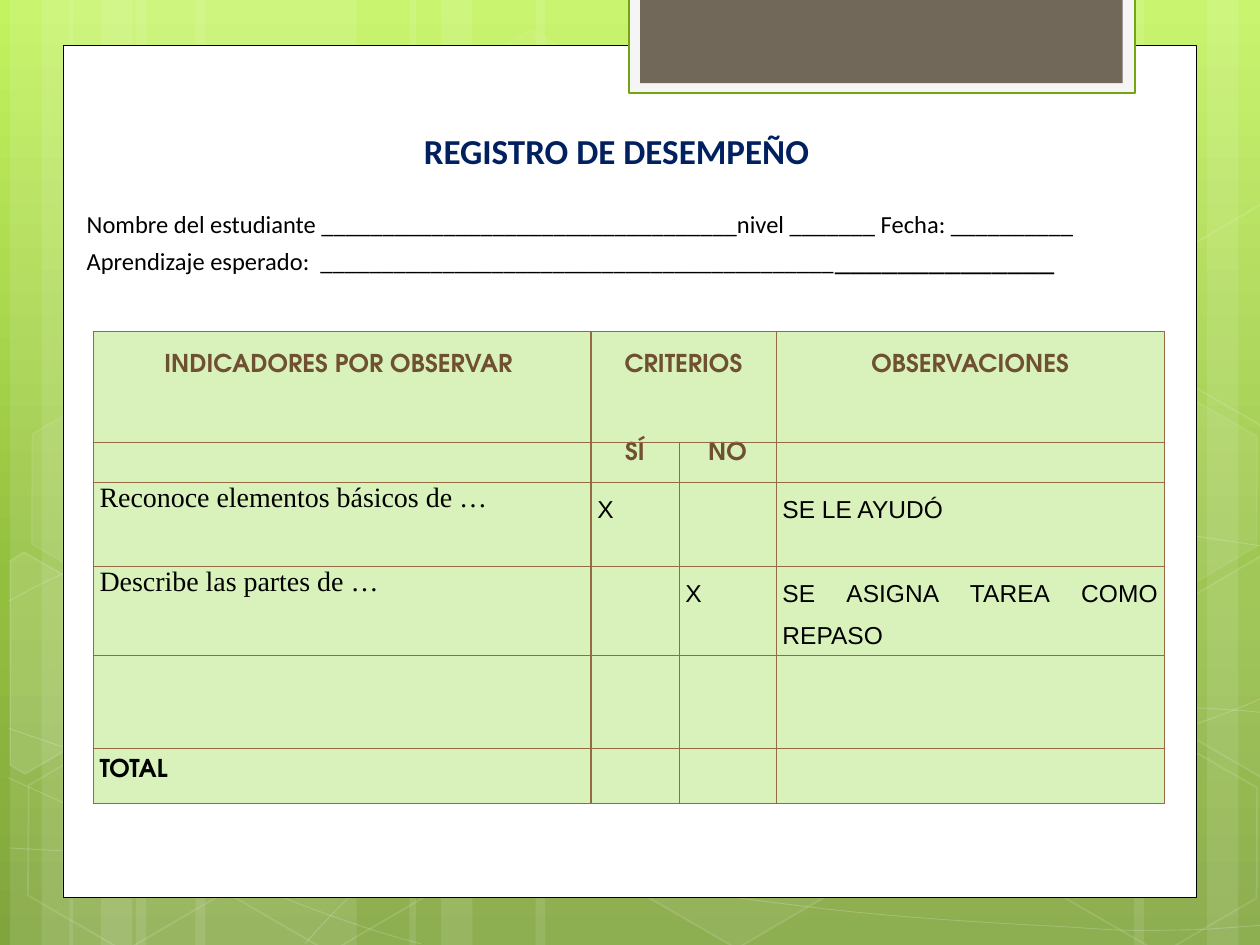
from copy import deepcopy
from math import cos, radians, sin
from typing import NamedTuple, Optional

from lxml.etree import SubElement
from pptx import Presentation
from pptx.dml.color import RGBColor
from pptx.enum.shapes import MSO_SHAPE as Preset
from pptx.enum.text import PP_ALIGN as Align
from pptx.oxml import parse_xml
from pptx.oxml.ns import nsdecls, qn
from pptx.util import Inches, Pt

WHITE = RGBColor(0xFF, 0xFF, 0xFF)
BLACK = RGBColor(0, 0, 0)
NAVY = RGBColor(0x00, 0x20, 0x60)
BROWN = RGBColor(0x70, 0x50, 0x32)
BORDER = RGBColor(0x95, 0x6B, 0x43)
PALE_GREEN = RGBColor(0xD9, 0xF2, 0xBB)
GREEN = RGBColor(0x74, 0xA5, 0x10)
LIGHT_GREY = RGBColor(0xF5, 0xF5, 0xF5)
TAUPE = RGBColor(0x71, 0x68, 0x5A)
SKY = [(0, RGBColor(0xC3, 0xF3, 0x5F)), (0.62, RGBColor(0x93, 0xBF, 0x3F)),
       (1, RGBColor(0x81, 0xA5, 0x3E))]
TILT = 30


class Paint(NamedTuple):
    fill: Optional[RGBColor] = None
    fill_alpha: int = 100
    line: Optional[RGBColor] = None
    width: float = 1
    line_alpha: int = 100


class Hexagon(NamedTuple):
    left: float
    top: float
    fill_alpha: int
    line_alpha: int


class Entry(NamedTuple):
    row: int
    col: int
    text: str
    font: dict
    align: Align = Align.JUSTIFY
    spacing: float = 1.5
    top: float = 0


def paint(shape, style: Paint) -> None:
    shape.shadow.inherit = False
    alphas = []
    if style.fill is None:
        shape.fill.background()
    else:
        shape.fill.solid()
        shape.fill.fore_color.rgb = style.fill
        alphas.append(style.fill_alpha)
    if style.line is None:
        shape.line.fill.background()
    else:
        shape.line.color.rgb = style.line
        shape.line.width = Pt(style.width)
        alphas.append(style.line_alpha)
    for color, alpha in zip(list(shape.element.iter(qn("a:srgbClr"))), alphas):
        if alpha < 100:
            SubElement(color, qn("a:alpha")).set("val", str(alpha * 1000))


def add_preset(slide, preset: Preset, box: tuple, style: Paint):
    shape = slide.shapes.add_shape(preset, *map(Inches, box))
    paint(shape, style)
    return shape


def add_outline(slide, points: list, closed: bool, style: Paint):
    start, *rest = [(Inches(x), Inches(y)) for x, y in points]
    builder = slide.shapes.build_freeform(*start)
    builder.add_line_segments(rest, close=closed)
    shape = builder.convert_to_shape()
    paint(shape, style)
    return shape


def add_curve(slide, knots: list, style: Paint) -> None:
    """Join cubic curves: a start, then three knots for each curve."""
    shape = add_outline(slide, knots, False, style)
    segments = list(shape.element.iter(qn("a:lnTo")))
    for i in range(0, len(segments), 3):
        curve = SubElement(segments[i].getparent(), qn("a:cubicBezTo"))
        for segment in segments[i:i + 3]:
            curve.append(segment[0])
            segment.getparent().remove(segment)


def add_tilted(slide, points: list, center: tuple, style: Paint) -> None:
    """Draw the outline upright around its center, then tilt it into place."""
    c, s = cos(radians(TILT)), sin(radians(TILT))
    cx, cy = center
    upright = [(cx + c * (x - cx) + s * (y - cy), cy - s * (x - cx) + c * (y - cy))
               for x, y in points]
    add_outline(slide, upright, True, style).rotation = TILT


def add_span(para, text: str, font: dict) -> None:
    span = para.add_run()
    span.text = text
    for name, value in font.items():
        if name == "color":
            span.font.color.rgb = value
        else:
            setattr(span.font, name, value)


def format_cell(cell) -> None:
    cell.margin_left = cell.margin_right = Inches(0.05)
    cell.margin_top = cell.margin_bottom = 0
    cell.fill.solid()
    cell.fill.fore_color.rgb = PALE_GREEN
    props = cell._tc.get_or_add_tcPr()
    for i, side in enumerate("LRTB"):
        props.insert(i, parse_xml(
            f'<a:ln{side} {nsdecls("a")} w="{Pt(0.75)}"><a:solidFill>'
            f'<a:srgbClr val="{BORDER}"/></a:solidFill></a:ln{side}>'))
    # Empty cells keep a small type size so that rows stay low
    end = SubElement(cell.text_frame.paragraphs[0]._p, qn("a:endParaRPr"))
    end.set("sz", "1400")


deck = Presentation()
deck.slide_width, deck.slide_height = Inches(10), Inches(7.5)
slide = deck.slides.add_slide(deck.slide_layouts[6])

# Background gradient
sky = slide.background.fill
sky.gradient()
sky.gradient_angle = 270
stop_list = next(slide.element.iter(qn("a:gsLst")))
stop_list.append(deepcopy(stop_list[-1]))
for stop, (position, color) in zip(sky.gradient_stops, SKY):
    stop.position = position
    stop.color.rgb = color

# Vertical light bands
BANDS = [(1.08, 1.75), (0.08, 0.5), (0.33, 0.83), (1.55, 1.75), (0.55, 0.5), (0.8, 0.83),
         (7.33, 1.75), (9.58, 0.5), (9, 0.83), (4.25, 3.08), (3.25, 0.5), (3.5, 0.83)]
for left, width in BANDS:
    add_preset(slide, Preset.RECTANGLE, (left, 0, width, 7.5), Paint(WHITE, 10))

# Thin curves
CURVES = [
    [(0.07, 6.73), (0.61, 6.76), (1.15, 6.79), (1.9, 6.78), (2.65, 6.77), (3.58, 6.75),
     (4.58, 6.65), (5.58, 6.55), (7, 6.36), (7.92, 6.17), (8.83, 5.98), (9.77, 5.68),
     (10.07, 5.51)],
    [(0.07, 4.77), (0.36, 4.61), (0.65, 4.46), (1.21, 4.31), (1.78, 4.16), (2.59, 3.94),
     (3.47, 3.87), (4.36, 3.8), (5.44, 3.79), (6.54, 3.87), (7.64, 3.95), (9.47, 4.26),
     (10.07, 4.34)],
    [(0.06, 6.17), (1.27, 6.72), (2.47, 7.27), (3.34, 7.49)],
    [(0.07, 5.78), (0.38, 5.89), (0.7, 6), (1.28, 6.16), (1.86, 6.31), (2.73, 6.56),
     (3.57, 6.73), (4.4, 6.9), (5.45, 7.08), (6.28, 7.18), (7.11, 7.29), (8, 7.33),
     (8.53, 7.36), (9.05, 7.4), (9.19, 7.38), (9.45, 7.38), (9.71, 7.37), (9.89, 7.35),
     (10.07, 7.34)],
    [(2.42, 7.49), (2.6, 7.29), (2.78, 7.09), (3.02, 6.91), (3.26, 6.73), (3.6, 6.53),
     (3.88, 6.39), (4.16, 6.25), (4.33, 6.19), (4.7, 6.09), (5.06, 5.99), (5.73, 5.85),
     (6.08, 5.78), (6.44, 5.71), (6.49, 5.71), (6.8, 5.69), (7.11, 5.66), (7.6, 5.63),
     (7.94, 5.62), (8.29, 5.61), (8.86, 5.62), (8.86, 5.62), (9.08, 5.62), (9.31, 5.62),
     (9.53, 5.62), (9.71, 5.63), (9.88, 5.64), (9.97, 5.65), (10.06, 5.66), (10.03, 5.65),
     (10.06, 5.66)],
]
for knots in CURVES:
    add_curve(slide, knots, Paint(line=WHITE, width=0.5, line_alpha=20))

# Hexagons, whole and cut by the slide edge
HEXAGONS = [Hexagon(3.34, 0.36, 4, 8), Hexagon(4.97, 5.89, 6, 12), Hexagon(0.11, 5.91, 0, 12),
            Hexagon(0.14, 3.12, 7, 8), Hexagon(1.74, 5.92, 0, 12), Hexagon(7.53, 4.53, 10, 12),
            Hexagon(8.34, 5.93, 0, 12), Hexagon(8.34, 3.14, 7, 8)]
for left, top, fill_alpha, line_alpha in HEXAGONS:
    style = Paint(WHITE if fill_alpha else None, fill_alpha, WHITE, 1, line_alpha)
    hexagon = add_preset(slide, Preset.HEXAGON, (left, top, 1.75, 1.52), style)
    hexagon.rotation = TILT
    hexagon.adjustments[0], hexagon.adjustments[1] = 0.285, 1.155

CUT_LEFT = [(0.08, 4.45), (0.19, 4.38), (0.96, 4.82), (0.95, 5.7), (0.2, 6.14), (0.08, 6.07)]
CUT_RIGHT = [(9.26, 4.85), (10.01, 4.41), (10.09, 4.46), (10.09, 6.13), (10.02, 6.17),
             (9.26, 5.73)]
CUT_UPPER = [(x, y - 2.79) for x, y in CUT_RIGHT]
CUTS = [(CUT_LEFT, (0.36, 5.35), 10), (CUT_RIGHT, (9.85, 5.2), 4), (CUT_UPPER, (9.85, 2.41), 0)]
for points, center, alpha in CUTS:
    add_tilted(slide, points, center, Paint(WHITE if alpha else None, alpha, WHITE, 1, 12))

# White page and top tab
add_preset(slide, Preset.RECTANGLE, (0.5, 0.36, 9, 6.76), Paint(WHITE, line=BLACK, width=0.5))
add_preset(slide, Preset.RECTANGLE, (4.99, -0.02, 4.02, 0.76),
           Paint(LIGHT_GREY, line=GREEN, width=1.25))
add_preset(slide, Preset.RECTANGLE, (5.08, -0.02, 3.83, 0.68), Paint(TAUPE))

# Record table
COLUMNS = [3.95, 0.7, 0.77, 3.08]
ROWS = [0.88, 0.32, 0.67, 0.7, 0.74, 0.44]
HEAD = dict(size=Pt(14), name="TeX Gyre Adventor", bold=True, color=BROWN)
ITEM = dict(size=Pt(16), name="Times New Roman", bold=False, color=BLACK)
MARK = dict(size=Pt(14), name="Arial", bold=False, color=BLACK)
ENTRIES = [
    Entry(0, 0, "INDICADORES POR OBSERVAR ", HEAD, Align.CENTER, 1, 0.18),
    Entry(0, 1, "CRITERIOS", HEAD, Align.CENTER, 1, 0.18),
    Entry(0, 3, "OBSERVACIONES", HEAD, Align.CENTER, 1, 0.18),
    Entry(1, 1, "SÍ", HEAD, Align.CENTER, 1),
    Entry(1, 2, "NO", HEAD, Align.CENTER, 1),
    Entry(2, 0, "Reconoce elementos básicos de …", ITEM, spacing=1),
    Entry(2, 1, "X", MARK),
    Entry(2, 3, "SE LE AYUDÓ", MARK),
    Entry(3, 0, "Describe las partes de …", ITEM, spacing=1),
    Entry(3, 2, "X", MARK),
    Entry(3, 3, "SE ASIGNA TAREA COMO REPASO", MARK),
    Entry(5, 0, "TOTAL", {**HEAD, "color": BLACK}),
]
frame = slide.shapes.add_table(len(ROWS), len(COLUMNS), Inches(0.74), Inches(2.63),
                               Inches(sum(COLUMNS)), Inches(sum(ROWS)))
table = frame.table
table.first_row = table.horz_banding = False
for column, width in zip(table.columns, COLUMNS):
    column.width = Inches(width)
for row, height in zip(table.rows, ROWS):
    row.height = Inches(height)
for cell in table.iter_cells():
    format_cell(cell)
table.cell(0, 1).merge(table.cell(0, 2))
for entry in ENTRIES:
    cell = table.cell(entry.row, entry.col)
    cell.margin_top = Inches(entry.top)
    para = cell.text_frame.paragraphs[0]
    para.alignment, para.line_spacing = entry.align, entry.spacing
    add_span(para, entry.text, entry.font)

# Title and form lines
TITLE = dict(size=Pt(20), name="Calibri", bold=True, color=NAVY)
FORM = dict(size=Pt(14), name="Calibri", bold=False, color=BLACK)
LINES = [
    (Align.CENTER, 0, [("REGISTRO DE DESEMPEÑO ", TITLE)]),
    (Align.LEFT, 21.4, [("Nombre del estudiante " + "_" * 34 + "nivel _______ Fecha: " + "_" * 10,
                         FORM)]),
    (Align.LEFT, 0, [("Aprendizaje esperado:  " + "_" * 42, FORM),
                     ("_" * 14, {**FORM, "size": Pt(18)})]),
]
box = slide.shapes.add_textbox(*map(Inches, (0.59, 0.68, 8.67, 1.58)))
box.text_frame.word_wrap = True
box.text_frame.margin_top = Inches(0.35)
for i, (align, before, spans) in enumerate(LINES):
    para = box.text_frame.add_paragraph() if i else box.text_frame.paragraphs[0]
    para.alignment = align
    if before:
        para.space_before = Pt(before)
    for text, font in spans:
        add_span(para, text, font)

deck.save("out.pptx")
